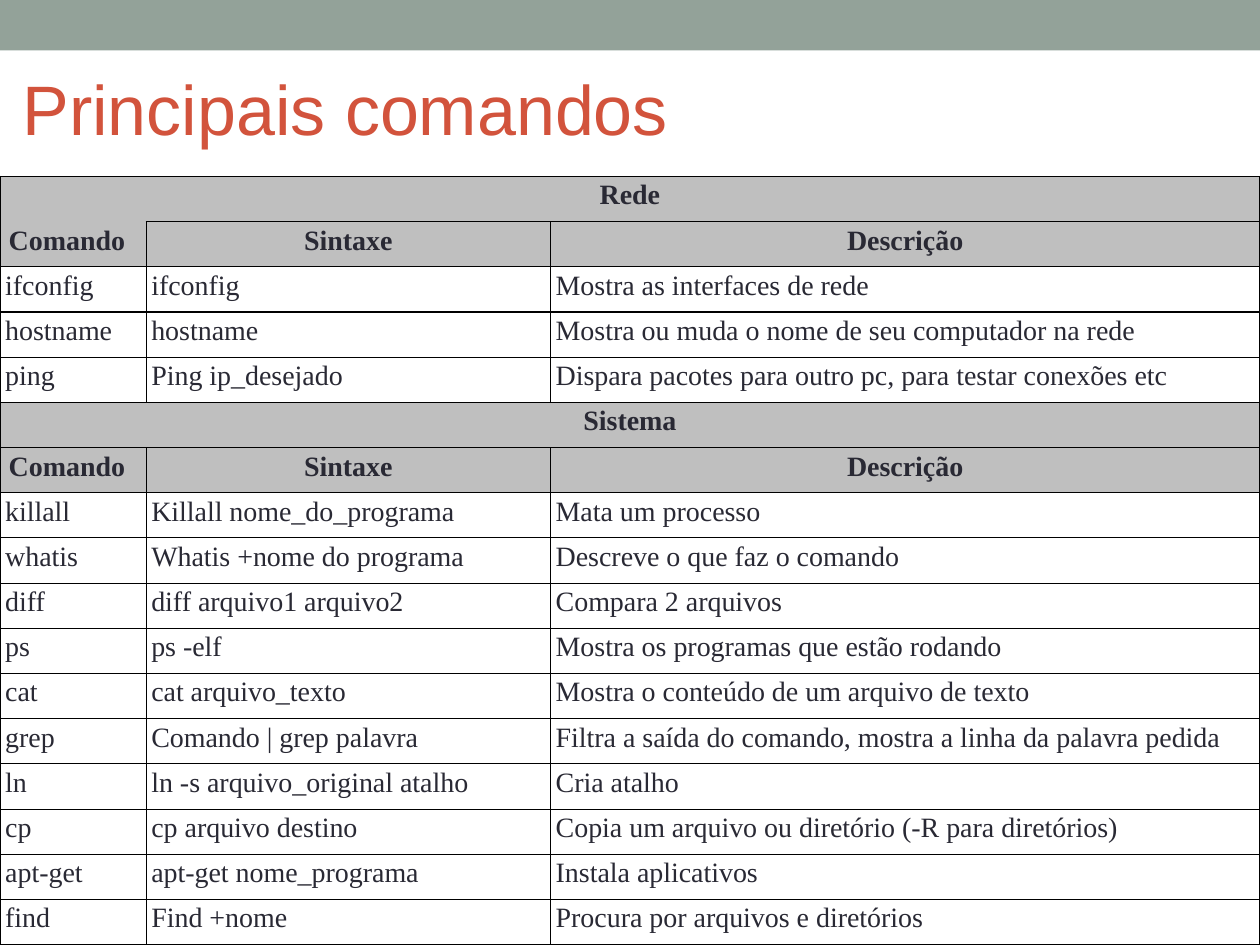
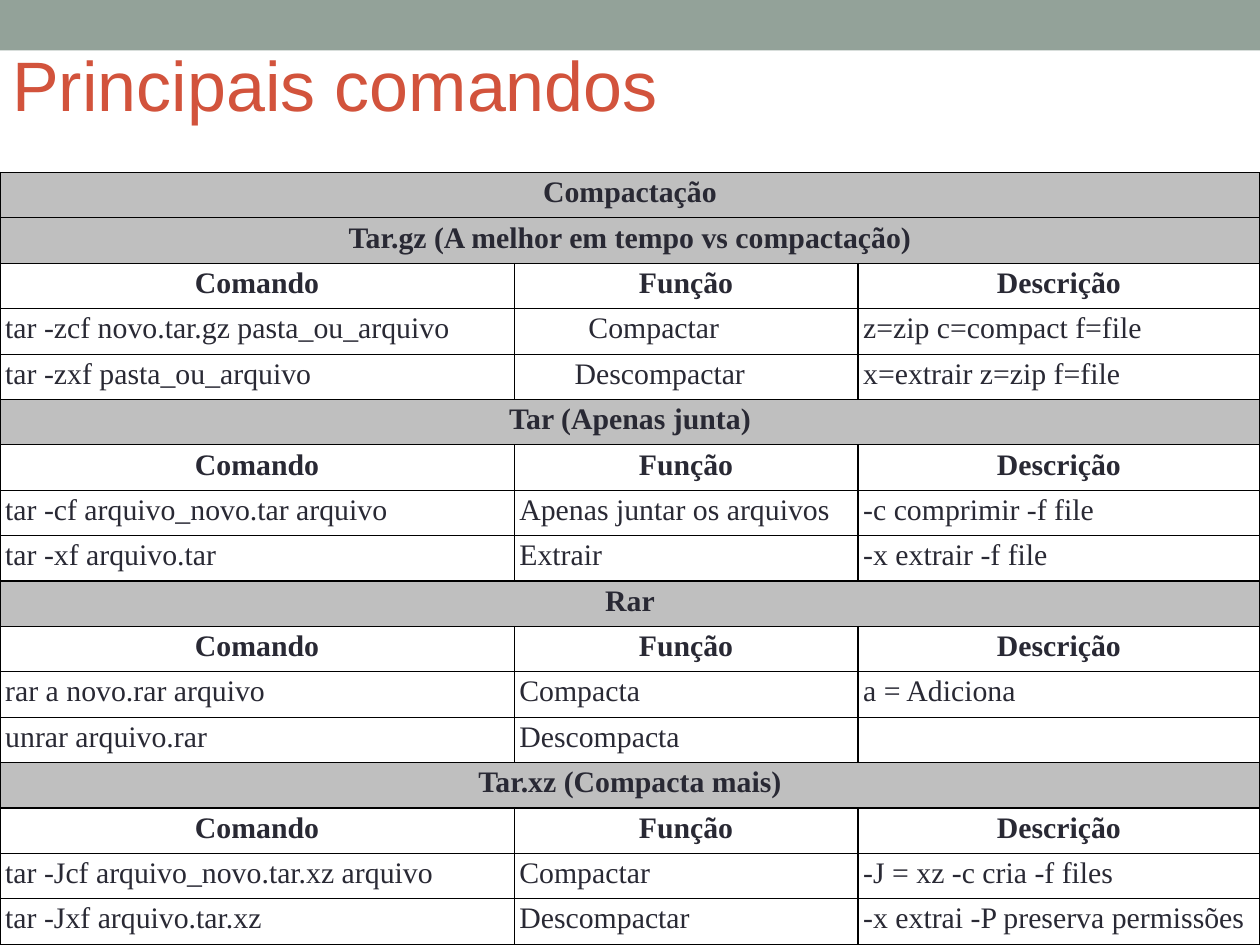
import pptx
import pptx.util
import pptx.dml.color
import pptx.enum.shapes
import pptx.enum.text
import pptx.oxml
import pptx.oxml.ns

Pt = pptx.util.Pt
RGB = pptx.dml.color.RGBColor.from_string
ALIGN = pptx.enum.text.PP_ALIGN
WIDTH, HEIGHT = 720, 540
COLORS = {"band": "93A299", "title": "D2533C", "text": "292934",
          "section": "BFBFBF", "border": "000000"}
NO_STYLE = "{2D5ABB26-0587-4C30-8999-92F81FD0307C}"
EDGES = {"all": "LRTB", "open_below": "LRT", "open_above": "LRB"}


def write(frame, text, font="Times New Roman", size=16, color="text",
          bold=False, align=ALIGN.LEFT):
    paragraph = frame.paragraphs[0]
    paragraph.alignment = align
    run = paragraph.add_run()
    run.text = text
    run.font.name = font
    run.font.size = Pt(size)
    run.font.bold = bold
    run.font.color.rgb = RGB(COLORS[color])


def draw_borders(cell, edges):
    properties = cell._tc.get_or_add_tcPr()
    for position, edge in enumerate(edges):
        properties.insert(position, pptx.oxml.parse_xml(
            f'<a:ln{edge} {pptx.oxml.ns.nsdecls("a")} w="{Pt(0.75)}"><a:solidFill>'
            f'<a:srgbClr val="{COLORS["border"]}"/></a:solidFill></a:ln{edge}>'))


# Content: a row with a single entry is a section heading
syntax_header = ("Comando", "Sintaxe", "Descrição")
function_header = ("Comando", "Função", "Descrição")

network_and_system = [
    ("Rede",),
    syntax_header,
    ("ifconfig", "ifconfig", "Mostra as interfaces de rede"),
    ("hostname", "hostname", "Mostra ou muda o nome de seu computador na rede"),
    ("ping", "Ping ip_desejado", "Dispara pacotes para outro pc, para testar conexões etc"),
    ("Sistema",),
    syntax_header,
    ("killall", "Killall nome_do_programa", "Mata um processo"),
    ("whatis", "Whatis +nome do programa", "Descreve o que faz o comando"),
    ("diff", "diff arquivo1 arquivo2", "Compara 2 arquivos"),
    ("ps", "ps -elf", "Mostra os programas que estão rodando"),
    ("cat", "cat arquivo_texto", "Mostra o conteúdo de um arquivo de texto"),
    ("grep", "Comando | grep palavra", "Filtra a saída do comando, mostra a linha da palavra pedida"),
    ("ln", "ln -s arquivo_original atalho", "Cria atalho"),
    ("cp", "cp arquivo destino", "Copia um arquivo ou diretório (-R para diretórios)"),
    ("apt-get", "apt-get nome_programa", "Instala aplicativos"),
    ("find", "Find +nome", "Procura por arquivos e diretórios"),
]

compression = [
    ("Compactação",),
    ("Tar.gz (A melhor em tempo vs compactação)",),
    function_header,
    ("tar -zcf novo.tar.gz pasta_ou_arquivo", "Compactar", "z=zip c=compact f=file"),
    ("tar -zxf pasta_ou_arquivo", "Descompactar", "x=extrair z=zip f=file"),
    ("Tar (Apenas junta)",),
    function_header,
    ("tar -cf arquivo_novo.tar arquivo", "Apenas juntar os arquivos", "-c comprimir -f file"),
    ("tar -xf arquivo.tar", "Extrair", "-x extrair -f file"),
    ("Rar",),
    function_header,
    ("rar a novo.rar arquivo", "Compacta", "a = Adiciona"),
    ("unrar arquivo.rar", "Descompacta", ""),
    ("Tar.xz (Compacta mais)",),
    function_header,
    ("tar -Jcf arquivo_novo.tar.xz arquivo", "Compactar", "-J = xz -c cria -f files"),
    ("tar -Jxf arquivo.tar.xz", "Descompactar", "-x extrai -P preserva permissões"),
]

pages = [
    {"title_at": (5.8, 22.3), "top": 100.8, "widths": (83.5, 231.1, 405.4), "size": 16,
     "rows": network_and_system, "header_filled": True,
     "indents": {(1, 0): 5, (6, 0): 5}},
    {"title_at": (0, 8.6), "top": 98.6, "widths": (293.8, 196.5, 229.7), "size": 17,
     "rows": compression, "header_filled": False,
     "indents": {(3, 1): 42.5, (4, 1): 34.6}},
]

presentation = pptx.Presentation()
presentation.slide_width, presentation.slide_height = Pt(WIDTH), Pt(HEIGHT)

for page in pages:
    slide = presentation.slides.add_slide(presentation.slide_layouts[6])

    # Top band
    band = slide.shapes.add_shape(pptx.enum.shapes.MSO_SHAPE.RECTANGLE,
                                  0, 0, Pt(WIDTH), Pt(28.8))
    band.shadow.inherit = False
    band.fill.solid()
    band.fill.fore_color.rgb = RGB(COLORS["band"])
    band.line.fill.background()

    # Title
    left, top = page["title_at"]
    title = slide.shapes.add_textbox(Pt(left), Pt(top), Pt(648), Pt(77.8)).text_frame
    title.word_wrap = True
    title.vertical_anchor = pptx.enum.text.MSO_ANCHOR.MIDDLE
    write(title, "Principais comandos", font="Arial", size=40, color="title")

    # Command table, reaching the bottom of the slide
    rows = page["rows"]
    table_height = HEIGHT - page["top"]
    frame = slide.shapes.add_table(len(rows), 3, 0, Pt(page["top"]),
                                   Pt(WIDTH), Pt(table_height))
    frame.element.find(".//" + pptx.oxml.ns.qn("a:tableStyleId")).text = NO_STYLE
    commands = frame.table
    commands.first_row = commands.horz_banding = False
    for column, width in zip(commands.columns, page["widths"]):
        column.width = Pt(width)

    for r, entries in enumerate(rows):
        commands.rows[r].height = Pt(table_height / len(rows))
        is_section = len(entries) == 1
        is_header = entries[0] == "Comando"
        above_header = is_section and rows[r + 1][0] == "Comando"
        if is_section:
            commands.cell(r, 0).merge(commands.cell(r, 2))

        for c in range(3):
            cell = commands.cell(r, c)
            indent = page["indents"].get((r, c))
            centered = is_section or (is_header and indent is None)
            cell.margin_left = Pt(0 if centered else indent or 3)
            cell.margin_right = cell.margin_bottom = 0
            cell.margin_top = Pt(2)
            if is_section or (is_header and page["header_filled"]):
                cell.fill.solid()
                cell.fill.fore_color.rgb = RGB(COLORS["section"])
            else:
                cell.fill.background()

            # The line between a section and its first header cell stays open
            if above_header:
                draw_borders(cell, EDGES["open_below"])
            elif is_header and c == 0:
                draw_borders(cell, EDGES["open_above"])
            else:
                draw_borders(cell, EDGES["all"])

            if c < len(entries) and entries[c]:
                write(cell.text_frame, entries[c], size=page["size"],
                      bold=is_section or is_header,
                      align=ALIGN.CENTER if centered else ALIGN.LEFT)

presentation.save("out.pptx")
